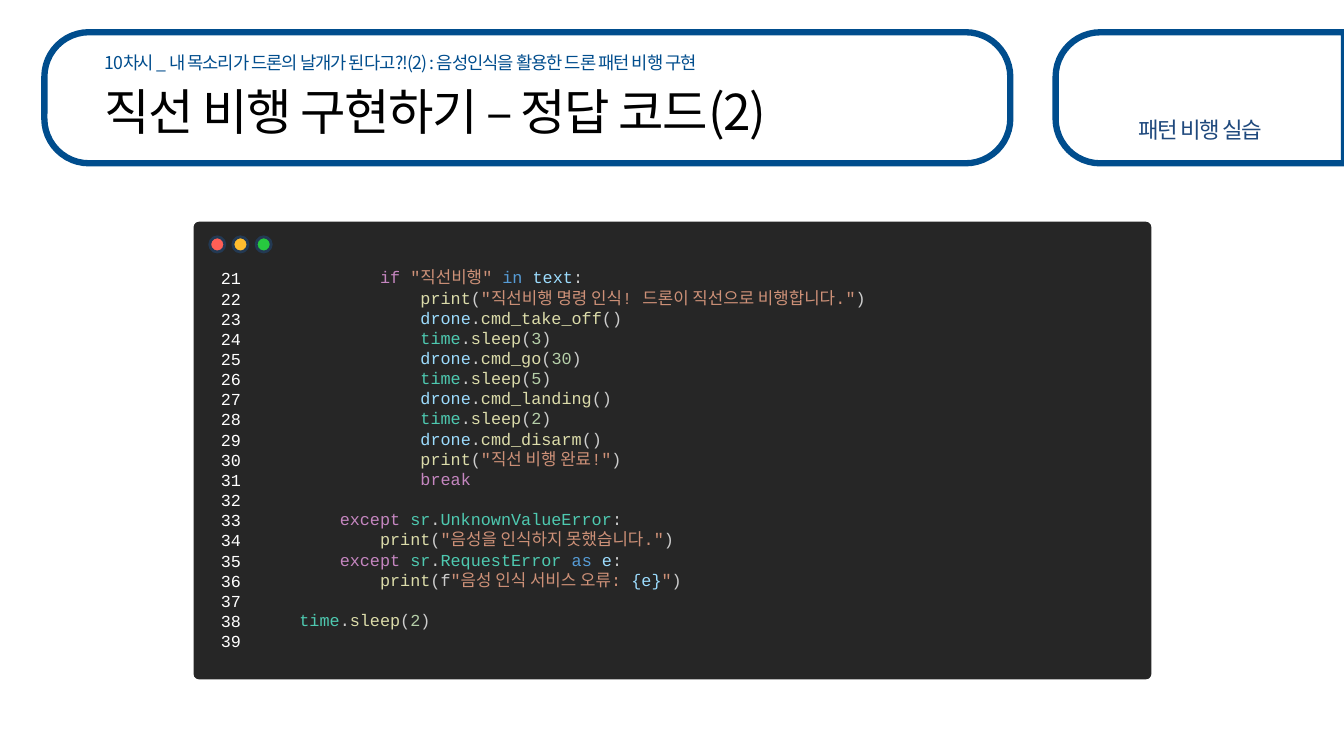
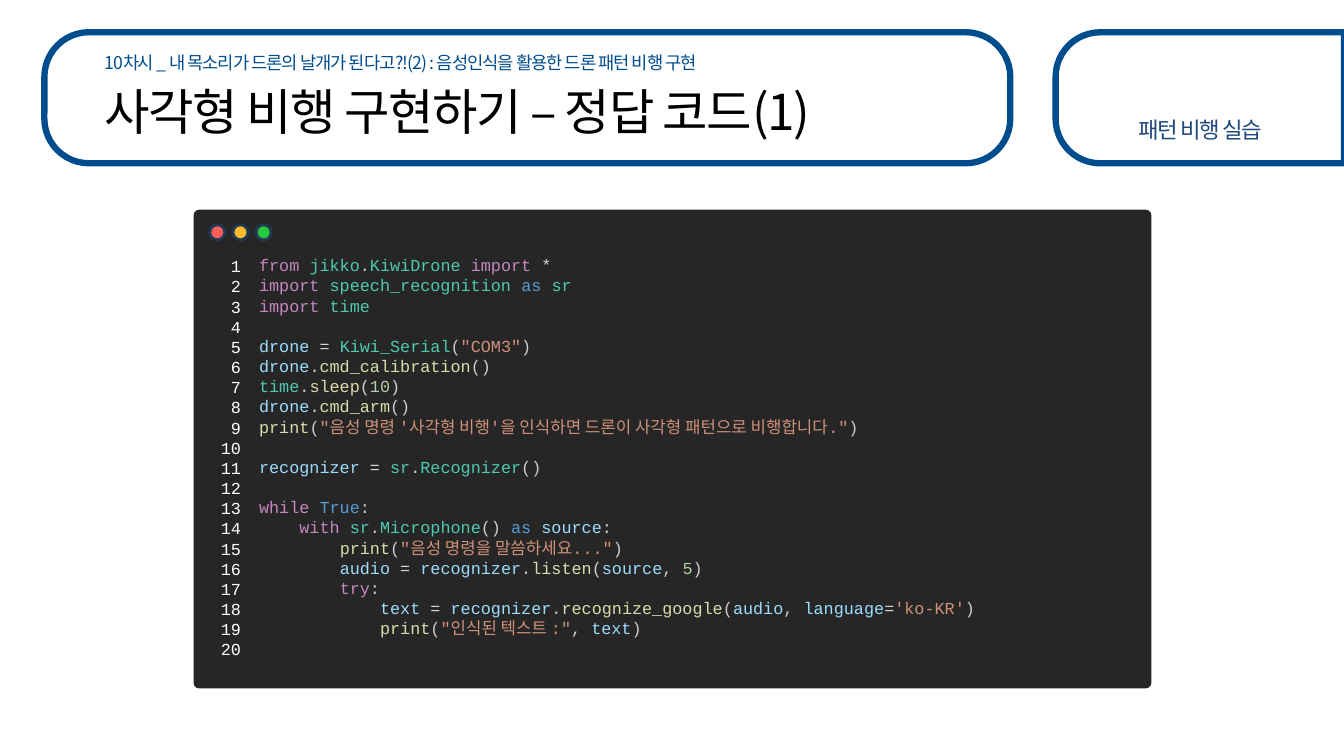
from itertools import takewhile
from pptx import Presentation
from pptx.dml.color import RGBColor
from pptx.enum.shapes import MSO_SHAPE
from pptx.enum.text import MSO_ANCHOR, PP_ALIGN
from pptx.oxml.ns import qn
from pptx.util import Inches, Pt
from lxml.etree import SubElement

HEADING_FONT = "Noto Sans CJK KR"
CODE_FONT = "Courier New"
NAVY = "004D8D"
LESSON = [
    ("10차시 _ ", NAVY, -1),
    ("내 목소리가 드론의 날개가 된다고?!(2) : 음성인식을 활용한 드론 패턴 비행 구현", NAVY, -0.7),
]
SECTION = "패턴 비행 실습"
WINDOW_BUTTONS = ["FF5F56", "FFBD2E", "27C93F"]
LINE_PITCH = Pt(14.4)

PLAIN, OPERATOR, NUMBER, STRING, VARIABLE = "CCCCCC", "D4D4D4", "B5CEA8", "CE9178", "9CDCFE"
WORDS_BY_COLOUR = {
    "C586C0": "from import while with try except if break",
    "569CD6": "in as True",
    "4EC9B0": "jikko KiwiDrone speech_recognition sr time Kiwi_Serial Recognizer "
              "Microphone UnknownValueError RequestError",
    "DCDCAA": "print sleep listen recognize_google cmd_take_off cmd_go cmd_landing "
              "cmd_disarm cmd_calibration cmd_arm",
    VARIABLE: "drone recognizer text audio source language e",
    OPERATOR: "= *",
}
WORD_COLOURS = {word: colour for colour, words in WORDS_BY_COLOUR.items() for word in words.split()}

STRAIGHT_CODE = '''\
            if "직선비행" in text:
                print("직선비행 명령 인식! 드론이 직선으로 비행합니다.")
                drone.cmd_take_off()
                time.sleep(3)
                drone.cmd_go(30)
                time.sleep(5)
                drone.cmd_landing()
                time.sleep(2)
                drone.cmd_disarm()
                print("직선 비행 완료!")
                break

        except sr.UnknownValueError:
            print("음성을 인식하지 못했습니다.")
        except sr.RequestError as e:
            print(f"음성 인식 서비스 오류: {e}")

    time.sleep(2)
'''
SQUARE_CODE = '''\
from jikko.KiwiDrone import *
import speech_recognition as sr
import time

drone = Kiwi_Serial("COM3")
drone.cmd_calibration()
time.sleep(10)
drone.cmd_arm()
print("음성 명령 '사각형 비행'을 인식하면 드론이 사각형 패턴으로 비행합니다.")

recognizer = sr.Recognizer()

while True:
    with sr.Microphone() as source:
        print("음성 명령을 말씀하세요...")
        audio = recognizer.listen(source, 5)
        try:
            text = recognizer.recognize_google(audio, language='ko-KR')
            print("인식된 텍스트 :", text)
'''
LESSON_SLIDES = [
    {"title": "직선 비행 구현하기 – 정답 코드(2)", "code": STRAIGHT_CODE, "numbers": range(21, 40), "top": 2.2},
    {"title": "사각형 비행 구현하기 – 정답 코드(1)", "code": SQUARE_CODE, "numbers": range(1, 21), "top": 2.08},
]


def rgb(colour):
    return RGBColor.from_string(colour)


def add_panel(slide, preset, box, fill, line=None, line_width=0, corners=()):
    panel = slide.shapes.add_shape(preset, *map(Inches, box))
    panel.shadow.inherit = False
    panel.fill.solid()
    panel.fill.fore_color.rgb = rgb(fill)
    if line:
        panel.line.color.rgb = rgb(line)
        panel.line.width = Pt(line_width)
    else:
        panel.line.fill.background()
    for index, corner in enumerate(corners):
        panel.adjustments[index] = corner
    return panel


def add_frame(slide, box):
    frame = slide.shapes.add_textbox(*map(Inches, box)).text_frame
    settings = {"word_wrap": True, "vertical_anchor": MSO_ANCHOR.TOP,
                "margin_left": 0, "margin_right": 0, "margin_top": 0, "margin_bottom": 0}
    for name, value in settings.items():
        setattr(frame, name, value)
    return frame


def add_run(paragraph, text, colour, size, font, spacing=0):
    run = paragraph.add_run()
    run.text = text
    for name, value in {"size": Pt(size), "name": font}.items():
        setattr(run.font, name, value)
    run.font.color.rgb = rgb(colour)
    properties = run.font._element
    SubElement(properties, qn("a:ea")).set("typeface", HEADING_FONT)
    if spacing:
        properties.set("spc", str(round(spacing * 100)))


def add_heading(slide, box, pieces, size, align=PP_ALIGN.LEFT):
    paragraph = add_frame(slide, box).paragraphs[0]
    paragraph.alignment = align
    for text, colour, spacing in pieces:
        add_run(paragraph, text, colour, size, HEADING_FONT, spacing)


def is_word(letter):
    return letter.isalnum() or letter == "_"


def split_code(line):
    while line:
        if line[0] in "\"'":
            size = line.index(line[0], 1) + 1
            before, brace, rest = line[:size].partition("{")
            value, close, after = rest.partition("}")
            yield before, STRING
            if brace:
                yield brace + value + close, VARIABLE
                yield after, STRING
        else:
            size = len(list(takewhile(is_word, line))) or 1
            size += len(list(takewhile(str.isspace, line[size:])))
            word = line[:size]
            yield word, NUMBER if word.strip().isdigit() else WORD_COLOURS.get(word.strip(), PLAIN)
        line = line[size:]


def add_line(frame, is_first, align=PP_ALIGN.LEFT):
    paragraph = frame.paragraphs[0] if is_first else frame.add_paragraph()
    for name, value in {"alignment": align, "line_spacing": LINE_PITCH}.items():
        setattr(paragraph, name, value)
    return paragraph


def add_code(slide, code, numbers, top):
    add_panel(slide, MSO_SHAPE.ROUNDED_RECTANGLE,
              (1.92, top, 9.5, 0.55 + 0.21 * len(numbers)), "262626", corners=[0.012])
    for index, colour in enumerate(WINDOW_BUTTONS):
        add_panel(slide, MSO_SHAPE.OVAL, (2.08 + 0.23 * index, top + 0.15, 0.15, 0.15),
                  colour, "233953", 2)

    code_frame = add_frame(slide, (2.57, top + 0.45, 8.24, 0.2 * len(numbers)))
    skipped = 0
    for index, line in enumerate(code.splitlines()):
        if not line:
            skipped += 1
            continue
        paragraph = add_line(code_frame, index == 0)
        if skipped:
            paragraph.space_before = LINE_PITCH * skipped
            skipped = 0
        for text, colour in split_code(line):
            add_run(paragraph, text, colour, 12, CODE_FONT)

    number_frame = add_frame(slide, (2.06, top + 0.46, 0.33, 0.2 * len(numbers)))
    for number in numbers:
        paragraph = add_line(number_frame, number == numbers[0], PP_ALIGN.RIGHT)
        add_run(paragraph, str(number), "FFFFFF", 12, CODE_FONT)


def add_header(slide, title):
    section_band = add_panel(slide, MSO_SHAPE.ROUND_2_SAME_RECTANGLE, (11.25, -0.46, 1.3, 2.86),
                             "FFFFFF", NAVY, 4.5, [0.34, 0])
    section_band.rotation = 270
    add_panel(slide, MSO_SHAPE.ROUNDED_RECTANGLE, (0.44, 0.32, 9.58, 1.3),
              "FFFFFF", NAVY, 4.5, [0.34])
    add_heading(slide, (1.04, 0.51, 8.41, 0.26), LESSON, 12.6)
    add_heading(slide, (1.04, 0.8, 8.41, 0.71), [(title, "000000", -1)], 35.3)
    add_heading(slide, (11.06, 1.15, 1.69, 0.33), [(SECTION, "1F497D", -1)], 16, PP_ALIGN.CENTER)


def main():
    deck = Presentation()
    deck.slide_width, deck.slide_height = Inches(13.33), Inches(7.5)
    for lesson in LESSON_SLIDES:
        slide = deck.slides.add_slide(deck.slide_layouts[6])
        add_header(slide, lesson["title"])
        add_code(slide, lesson["code"], lesson["numbers"], lesson["top"])
    deck.save("out.pptx")


if __name__ == "__main__":
    main()
